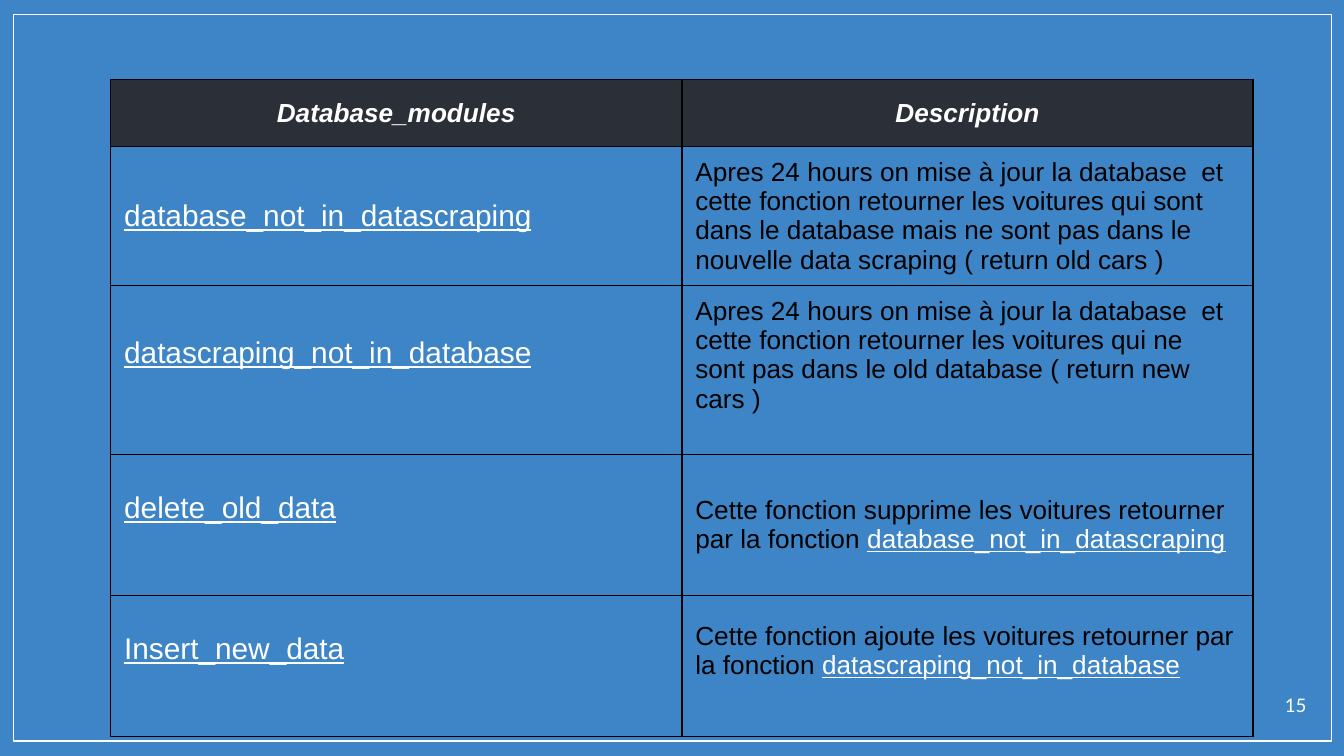
from lxml.etree import SubElement
from pptx import Presentation
from pptx.dml.color import RGBColor
from pptx.enum.shapes import MSO_SHAPE
from pptx.enum.text import MSO_ANCHOR, PP_ALIGN
from pptx.oxml.ns import qn
from pptx.util import Pt

# Content
COLORS = {"background": "3D85C6", "header": "2B2F38", "light": "FFFFFF", "dark": "000000"}
HEADINGS = ["Database_modules", "Description"]
OLD_CARS = "database_not_in_datascraping"
NEW_CARS = "datascraping_not_in_database"
# (module, description, module it refers to, row height, extra space below each cell)
MODULES = [
    (OLD_CARS, "Apres 24 hours on mise à jour la database  et cette fonction retourner les "
     "voitures qui sont dans le database mais ne sont pas dans le nouvelle data scraping "
     "( return old cars )", "", 70, (0, 0)),
    (NEW_CARS, "Apres 24 hours on mise à jour la database  et cette fonction retourner les "
     "voitures qui ne sont pas dans le old database ( return new cars )", "", 86, (18, 16)),
    ("delete_old_data", "Cette fonction supprime les voitures retourner par la fonction ",
     OLD_CARS, 75.6, (18, 0)),
    ("Insert_new_data", "Cette fonction ajoute les voitures retourner par la fonction ",
     NEW_CARS, 75.6, (18, 16)),
]
PAGE_NUMBER = "15"
HEADER_HEIGHT, COLUMN_WIDTH, CELL_MARGIN = 36, 306, 3.6


def rgb(name):
    return RGBColor.from_string(COLORS[name])


def write(paragraph, text, size=14, color="light", font="Arial", align=PP_ALIGN.LEFT,
          bold=False, italic=False, underline=False):
    paragraph.alignment = align
    run = paragraph.add_run()
    run.text = text
    run.font.name, run.font.size = font, Pt(size)
    run.font.bold, run.font.italic, run.font.underline = bold, italic, underline
    run.font.color.rgb = rgb(color)


def format_cell(cell, fill=None, space_below=0):
    cell.vertical_anchor = MSO_ANCHOR.MIDDLE
    cell.margin_top = Pt(CELL_MARGIN)
    cell.margin_bottom = Pt(CELL_MARGIN + space_below)
    properties = cell._tc.get_or_add_tcPr()
    for side in ("lnL", "lnR", "lnT", "lnB"):
        border = SubElement(properties, qn(f"a:{side}"), w=str(Pt(0.75)))
        SubElement(SubElement(border, qn("a:solidFill")), qn("a:srgbClr"), val=COLORS["dark"])
    if fill:
        cell.fill.solid()
        cell.fill.fore_color.rgb = rgb(fill)
    else:
        cell.fill.background()
    return cell.text_frame.paragraphs[0]


deck = Presentation()
deck.slide_width, deck.slide_height = Pt(720), Pt(405)
slide = deck.slides.add_slide(deck.slide_layouts[6])
slide.background.fill.solid()
slide.background.fill.fore_color.rgb = rgb("background")

# Frame around the slide
frame = slide.shapes.add_shape(MSO_SHAPE.RECTANGLE, Pt(7.2), Pt(7.7), Pt(706.2), Pt(389.4))
frame.shadow.inherit = False
frame.fill.background()
frame.line.color.rgb = rgb("light")
frame.line.width = Pt(0.75)

# Page number
number = slide.shapes.add_textbox(Pt(671), Pt(365.8), Pt(36), Pt(23)).text_frame
number.word_wrap = True
number.margin_left = number.margin_right = number.margin_top = number.margin_bottom = Pt(7.2)
write(number.paragraphs[0], PAGE_NUMBER, size=10, font="Lato", align=PP_ALIGN.RIGHT)

# Table of modules
heights = [HEADER_HEIGHT] + [module[3] for module in MODULES]
table = slide.shapes.add_table(len(heights), len(HEADINGS), Pt(59.3), Pt(42.5),
                               Pt(COLUMN_WIDTH * len(HEADINGS)), Pt(sum(heights))).table
table.horz_banding = False
for column in table.columns:
    column.width = Pt(COLUMN_WIDTH)
for row, height in zip(table.rows, heights):
    row.height = Pt(height)

for index, heading in enumerate(HEADINGS):
    write(format_cell(table.cell(0, index), fill="header"), heading,
          align=PP_ALIGN.CENTER, bold=True, italic=True)

for index, (module, description, reference, _, below) in enumerate(MODULES, start=1):
    write(format_cell(table.cell(index, 0), space_below=below[0]), module,
          size=16, underline=True)
    explanation = format_cell(table.cell(index, 1), space_below=below[1])
    write(explanation, description, color="dark")
    if reference:
        write(explanation, reference, underline=True)

deck.save("out.pptx")
